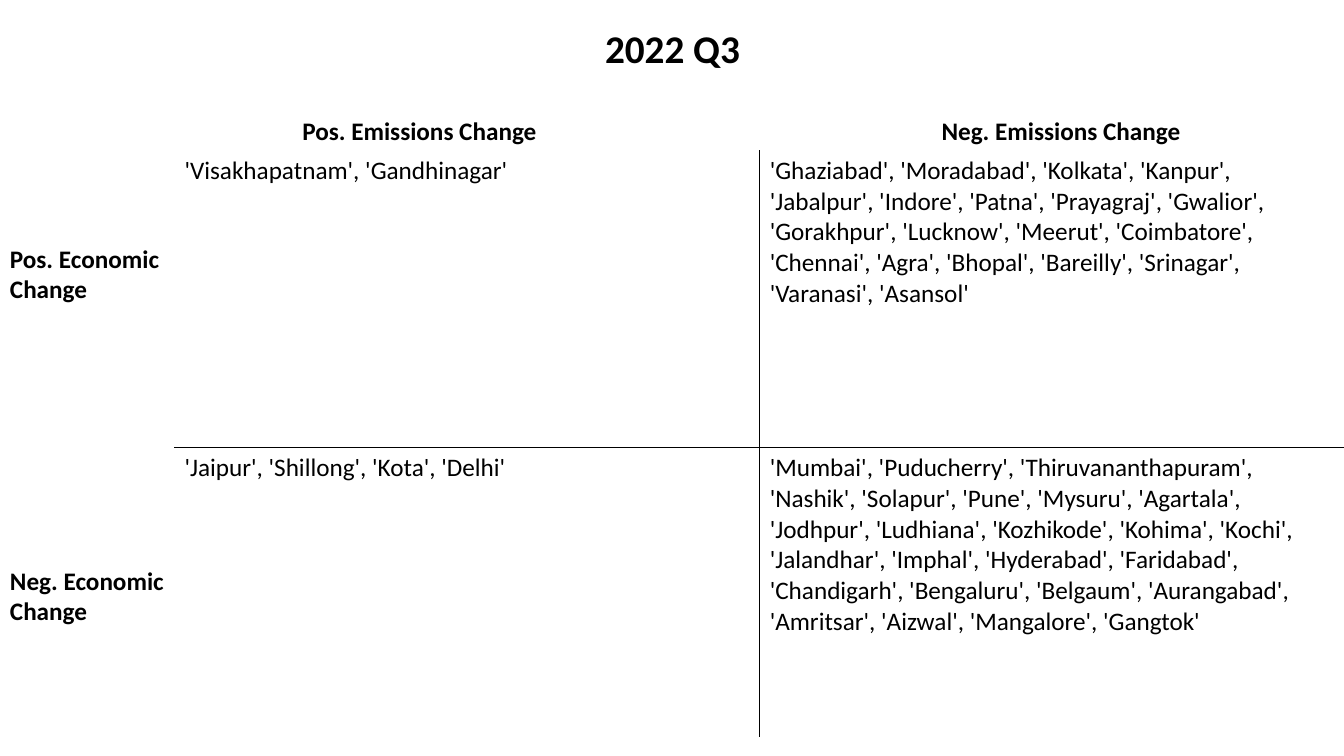
from lxml import etree
from pptx import Presentation
from pptx.dml.color import RGBColor
from pptx.enum.text import MSO_ANCHOR, MSO_AUTO_SIZE, PP_ALIGN
from pptx.oxml.ns import qn
from pptx.util import Inches, Pt

LEFT, CENTER = PP_ALIGN.LEFT, PP_ALIGN.CENTER
TOP, MIDDLE = MSO_ANCHOR.TOP, MSO_ANCHOR.MIDDLE
FIT_SHAPE = MSO_AUTO_SIZE.SHAPE_TO_FIT_TEXT
FONT, BLACK = "Calibri", "000000"
NO_STYLE_NO_GRID = "{2D5ABB26-0587-4C30-8999-92F81FD0307C}"

# Rows: economic change; columns: emissions change
CITIES = [
    ["Visakhapatnam Gandhinagar",
     "Ghaziabad Moradabad Kolkata Kanpur Jabalpur Indore Patna Prayagraj "
     "Gwalior Gorakhpur Lucknow Meerut Coimbatore Chennai Agra Bhopal "
     "Bareilly Srinagar Varanasi Asansol"],
    ["Jaipur Shillong Kota Delhi",
     "Mumbai Puducherry Thiruvananthapuram Nashik Solapur Pune Mysuru "
     "Agartala Jodhpur Ludhiana Kozhikode Kohima Kochi Jalandhar Imphal "
     "Hyderabad Faridabad Chandigarh Bengaluru Belgaum Aurangabad Amritsar "
     "Aizwal Mangalore Gangtok"],
]


def rgb(color):
    return RGBColor.from_string(color)


def set_text(tf, text, size=18, bold=False, color=BLACK, align=LEFT, anchor=TOP):
    """Fill a text frame, one paragraph for each line of text."""
    tf.text = text
    tf.vertical_anchor = anchor
    for p in tf.paragraphs:
        p.alignment = align
        for r in p.runs:
            r.font.name, r.font.size, r.font.bold = FONT, Pt(size), bold
            r.font.color.rgb = rgb(color)


def add_label(s, text, x, y, w, h, wrap=False):
    sp = s.shapes.add_textbox(Inches(x), Inches(y), Inches(w), Inches(h))
    tf = sp.text_frame
    set_text(tf, text, bold=True)
    tf.word_wrap = wrap
    tf.auto_size = FIT_SHAPE


def set_borders(cell, sides, color=BLACK, width=1):
    """Draw the named sides of a cell and clear the others."""
    tc_pr = cell._tc.get_or_add_tcPr()
    for i, side in enumerate("LRTB"):
        ln = etree.Element(qn(f"a:ln{side}"), w=str(Pt(width)))
        if side in sides:
            fill = etree.SubElement(ln, qn("a:solidFill"))
            etree.SubElement(fill, qn("a:srgbClr"), val=color)
        else:
            etree.SubElement(ln, qn("a:noFill"))
        tc_pr.insert(i, ln)


def add_title(s, text):
    sp = s.shapes.title
    sp.left, sp.top = Inches(5.89), Inches(0.19)
    sp.width, sp.height = Inches(1.56), Inches(0.57)
    tf = sp.text_frame
    set_text(tf, text, size=28, bold=True, align=CENTER, anchor=MIDDLE)
    tf.word_wrap = False
    tf.auto_size = FIT_SHAPE


def add_quadrants(s, cities):
    frame = s.shapes.add_table(2, 2, Inches(1.73), Inches(1.49),
                               Inches(11.61), Inches(5.82))
    table = frame.table
    table.first_row = table.horz_banding = False
    table._tbl.tblPr.find(qn("a:tableStyleId")).text = NO_STYLE_NO_GRID
    for row, height in zip(table.rows, (2.95, 2.87)):
        row.height = Inches(height)
    for i, row in enumerate(cities):
        for j, names in enumerate(row):
            cell = table.cell(i, j)
            text = ", ".join(f"'{name}'" for name in names.split())
            set_text(cell.text_frame, text)
            cell.fill.background()
            # Only the sides that face the middle of the grid
            set_borders(cell, "RL"[j] + "BT"[i])


def main():
    prs = Presentation()
    prs.slide_width, prs.slide_height = Inches(13.33), Inches(7.5)
    s = prs.slides.add_slide(prs.slide_layouts[5])

    # Title and city grid
    add_title(s, "2022 Q3")
    add_quadrants(s, CITIES)

    # Column labels
    add_label(s, "Pos. Emissions Change", 2.9, 1.09, 2.54, 0.4)
    add_label(s, "Neg. Emissions Change", 9.24, 1.09, 2.63, 0.4, wrap=True)

    # Row labels
    add_label(s, "Pos. Economic \nChange", 0, 2.36, 1.75, 0.71)
    add_label(s, "Neg. Economic \nChange", 0, 5.56, 1.78, 0.71)

    prs.save("out.pptx")


main()
